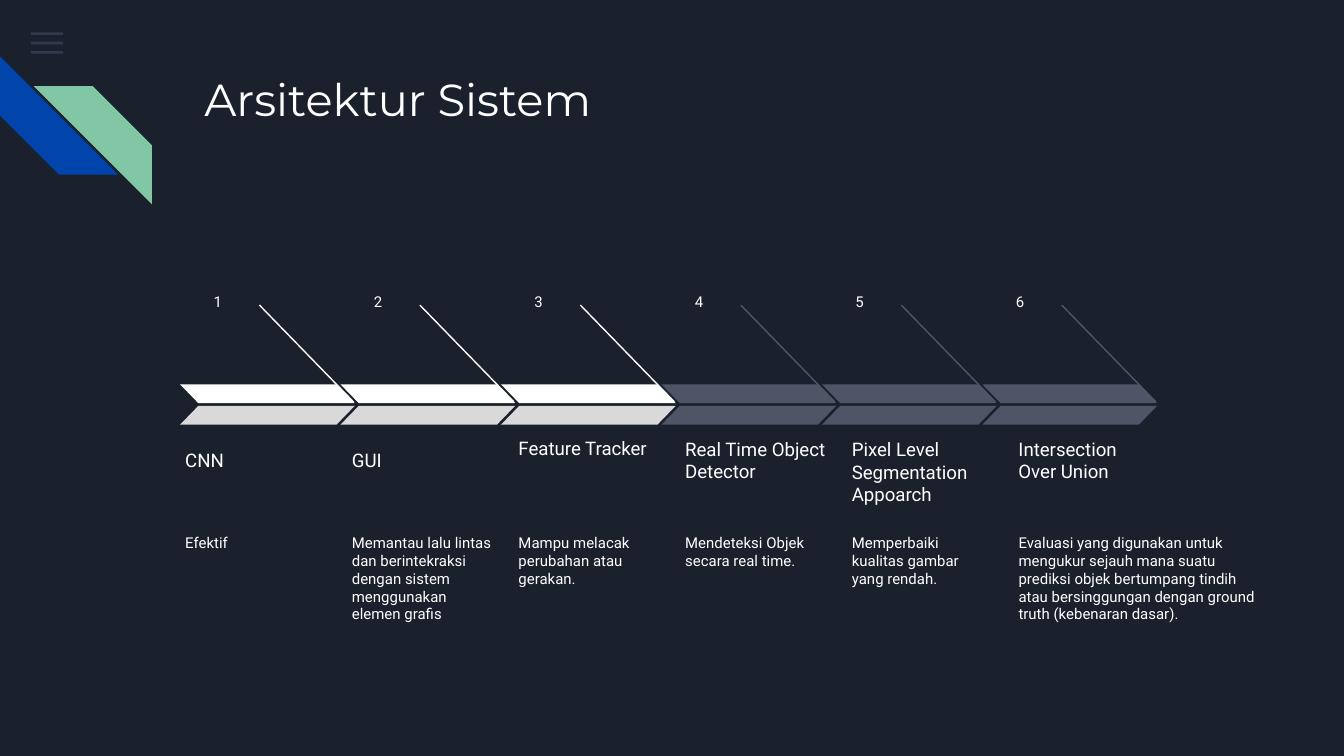
import lxml.etree
import pptx
import pptx.dml.color
import pptx.enum.shapes
import pptx.enum.text
import pptx.oxml.ns
import pptx.util

RGBColor = pptx.dml.color.RGBColor
SHAPES = pptx.enum.shapes.MSO_SHAPE
ANCHORS = pptx.enum.text.MSO_ANCHOR
qualify = pptx.oxml.ns.qn
inches = pptx.util.Inches

NIGHT = RGBColor(0x1B, 0x21, 0x2C)
WHITE = RGBColor(0xFF, 0xFF, 0xFF)
SILVER = RGBColor(0xD9, 0xD9, 0xD9)
SLATE = RGBColor(0x4E, 0x55, 0x67)
STEEL = RGBColor(0x55, 0x68, 0x8B)
BLUE = RGBColor(0x01, 0x45, 0xAC)
GREEN = RGBColor(0x82, 0xC7, 0xA5)

SLIDE_WIDTH = 10
SLIDE_HEIGHT = SLIDE_WIDTH * 9 / 16
ARROW_LEFT, ARROW_PITCH = 1.34, 5.97 / 5
TEXT_LEFT, TEXT_PITCH = 1.28, 1.24
LABEL_HEIGHT = 0.44

STEPS = [
    ("CNN", 3.17, "Efektif", 1.24),
    ("GUI", 3.17, "Memantau lalu lintas dan berintekraksi dengan sistem "
     "menggunakan elemen grafis", 1.24),
    ("Feature Tracker", 3.08, "Mampu melacak perubahan atau gerakan.", 1.24),
    ("Real Time Object Detector", 3.25, "Mendeteksi Objek secara real time.", 1.24),
    ("Pixel Level Segmentation Appoarch", 3.42,
     "Memperbaiki kualitas gambar yang rendah.", 1.24),
    ("Intersection Over Union", 3.25, "Evaluasi yang digunakan untuk mengukur "
     "sejauh mana suatu prediksi objek bertumpang tindih atau bersinggungan "
     "dengan ground truth (kebenaran dasar).", 1.98),
]


def write_text(box, text, size=8, font="Roboto", anchor=ANCHORS.TOP, after=0):
    """Fill a box with one formatted, left-aligned paragraph."""
    frame = box.text_frame
    frame.word_wrap = True
    frame.auto_size = pptx.enum.text.MSO_AUTO_SIZE.NONE
    frame.vertical_anchor = anchor
    frame.margin_left = frame.margin_right = inches(0.1)
    frame.margin_top = frame.margin_bottom = inches(0.1)
    para = frame.paragraphs[0]
    para.alignment = pptx.enum.text.PP_ALIGN.LEFT
    para.space_after = pptx.util.Pt(after)
    span = para.add_run()
    span.text = text
    span.font.name = font
    span.font.size = pptx.util.Pt(size)
    span.font.color.rgb = WHITE


def add_text(page, text, left, top, width, height, **style):
    """Add a text box holding formatted text."""
    box = page.shapes.add_textbox(*map(inches, (left, top, width, height)))
    write_text(box, text, **style)


def add_block(page, kind, place, color, adjust=None, flip=False, turn=0, opacity=None):
    """Add a flat preset shape without outline or shadow."""
    block = page.shapes.add_shape(kind, *map(inches, place))
    block.shadow.inherit = False
    block.fill.solid()
    block.fill.fore_color.rgb = color
    block.line.fill.background()
    block.rotation = turn
    properties = block.element.spPr
    if adjust is not None:
        block.adjustments[0] = adjust
    if flip:
        properties.find(qualify("a:xfrm")).set("flipH", "1")
    if opacity is not None:
        tint = properties.find(".//" + qualify("a:srgbClr"))
        lxml.etree.SubElement(tint, qualify("a:alpha")).set("val", str(opacity * 1000))


def add_line(page, start, end, color):
    """Add a thin straight line without shadow."""
    line = page.shapes.add_connector(
        pptx.enum.shapes.MSO_CONNECTOR.STRAIGHT, *map(inches, start + end))
    line.line.color.rgb = color
    line.line.width = pptx.util.Pt(0.75)
    lxml.etree.SubElement(line.element.spPr, qualify("a:effectLst"))


def add_decoration(page):
    """Draw the menu bars and the two diagonal stripes."""
    for row in range(3):
        add_block(page, SHAPES.RECTANGLE, (0.23, 0.24 + 0.07 * row, 0.24, 0.02),
                  STEEL, opacity=36)
    add_block(page, SHAPES.DIAGONAL_STRIPE, (0, 0.42, 0.88, 0.88), BLUE, 0.5, turn=270)
    add_block(page, SHAPES.DIAGONAL_STRIPE, (0.25, 0.64, 0.88, 0.88), GREEN, 0.5, flip=True)


def add_title(page, text):
    """Place and fill the title placeholder."""
    title = page.shapes.title
    title.left, title.top, title.width, title.height = map(inches, (1.42, 0.43, 7.7, 1))
    write_text(title, text, size=24, font="Montserrat")


def add_arrow(page, column):
    """Draw one two-part arrow with its pointer line."""
    left = ARROW_LEFT + ARROW_PITCH * column
    upper, lower = (WHITE, SILVER) if column < 3 else (SLATE, SLATE)
    add_line(page, (left + 0.59, 2.27), (left + 1.29, 2.99), upper)
    add_block(page, SHAPES.PARALLELOGRAM, (left, 2.86, 1.3, 0.14), upper, 0.97, flip=True)
    add_block(page, SHAPES.PARALLELOGRAM, (left, 3.02, 1.3, 0.14), lower, 0.97)


def add_step(page, column, label, label_top, detail, width):
    """Write the number, label and detail of one step."""
    left = TEXT_LEFT + TEXT_PITCH * column
    add_text(page, str(column + 1), ARROW_LEFT + 0.15 + ARROW_PITCH * column,
             2.08, 0.59, 0.23)
    add_text(page, label, left, label_top, TEXT_PITCH, LABEL_HEIGHT,
             size=10, anchor=ANCHORS.BOTTOM)
    add_text(page, detail, left, 3.87, width, 0.73, after=16)


def main():
    """Build the system architecture slide."""
    deck = pptx.Presentation()
    deck.slide_width, deck.slide_height = inches(SLIDE_WIDTH), inches(SLIDE_HEIGHT)
    page = deck.slides.add_slide(deck.slide_layouts[5])
    page.background.fill.solid()
    page.background.fill.fore_color.rgb = NIGHT
    add_decoration(page)
    add_title(page, "Arsitektur Sistem")
    for column, step in enumerate(STEPS):
        add_step(page, column, *step)
    for column in range(len(STEPS)):
        add_arrow(page, column)
    deck.save("out.pptx")


if __name__ == "__main__":
    main()
